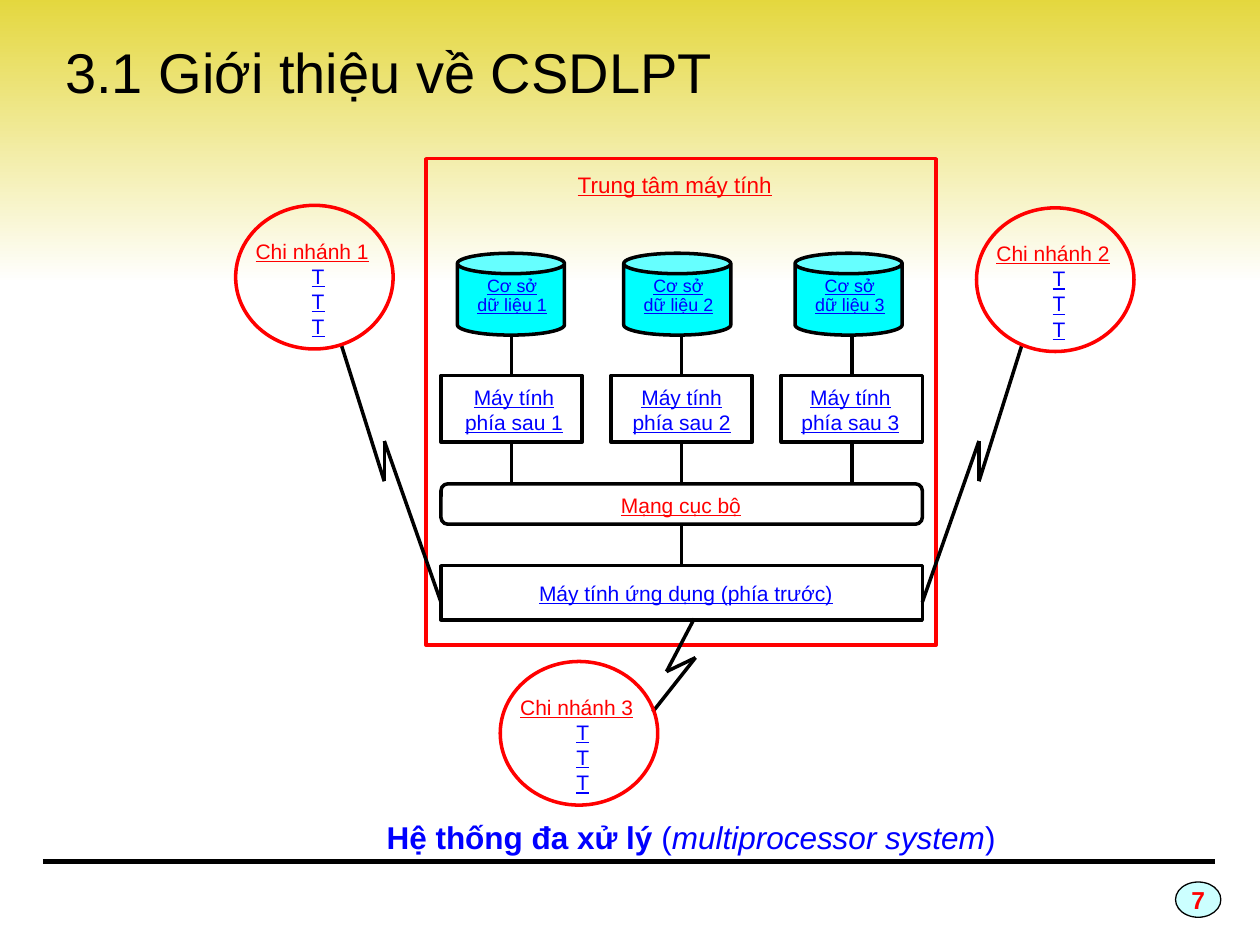
import pptx
import pptx.util
import pptx.dml.color
import pptx.enum.shapes
import pptx.enum.text
import pptx.oxml.ns
import lxml.etree

Inches = pptx.util.Inches
SHAPE = pptx.enum.shapes.MSO_SHAPE
ALIGN = pptx.enum.text.PP_ALIGN
BLACK, RED, BLUE, CYAN = "000000", "FF0000", "0000FF", "00FFFF"


def color(code):
    """Turn a hex string into a colour."""
    return pptx.dml.color.RGBColor.from_string(code)


def write(frame, lines, size=12, tint=BLUE, align=ALIGN.CENTER, wrap=True,
          under=False, space=None):
    """Fill a frame with lines; a line is text or a list of (text, format) runs."""
    frame.word_wrap = wrap
    for i, line in enumerate(lines):
        para = frame.paragraphs[0] if i == 0 else frame.add_paragraph()
        para.alignment = align
        if space:
            para.line_spacing = space
        for words, form in [(line, {})] if isinstance(line, str) else line:
            run = para.add_run()
            run.text = words
            font = run.font
            font.name, font.size = "Arial", pptx.util.Pt(size)
            font.color.rgb = color(form.get("tint", tint))
            font.bold = form.get("bold", False)
            font.italic = form.get("italic", False)
            font.underline = under
            if "align" in form:
                para.alignment = form["align"]


def label(slide, box, lines, **form):
    """Add a text box holding the lines."""
    item = slide.shapes.add_textbox(*map(Inches, box))
    write(item.text_frame, lines, **form)


def shape(slide, kind, box, line=BLACK, fill=None, width=2):
    """Add a preset shape with a plain outline."""
    item = slide.shapes.add_shape(kind, *map(Inches, box))
    item.shadow.inherit = False
    if fill:
        item.fill.solid()
        item.fill.fore_color.rgb = color(fill)
    else:
        item.fill.background()
    if line:
        item.line.color.rgb = color(line)
        item.line.width = pptx.util.Pt(width)
    else:
        item.line.fill.background()
    return item


def wire(slide, start, end, width=2):
    """Add a straight black connector without a shadow."""
    item = slide.shapes.add_connector(
        pptx.enum.shapes.MSO_CONNECTOR.STRAIGHT, *map(Inches, (*start, *end)))
    item.line.color.rgb = color(BLACK)
    item.line.width = pptx.util.Pt(width)
    lxml.etree.SubElement(item._element.spPr, pptx.oxml.ns.qn("a:effectLst"))
    return item


def zigzag(slide, points):
    """Join the points in turn with connectors."""
    for start, end in zip(points, points[1:]):
        wire(slide, start, end)


def backdrop(slide, width, page):
    """Draw the gradient band, the footer rule and the page number."""
    band = shape(slide, SHAPE.RECTANGLE, (0, -0.08, width, 2.33), line=None)
    band.fill.gradient()
    band.fill.gradient_angle = 270
    for stop, code, place in zip(band.fill.gradient_stops, ("E3D638", "FFFFFF"), (0, 1)):
        stop.color.rgb = color(code)
        stop.position = place
    wire(slide, (0.34, 6.84), (9.64, 6.84), width=3)
    badge = shape(slide, SHAPE.OVAL, (9.33, 7, 0.36, 0.28), fill="CCFFFF", width=0.75)
    write(badge.text_frame, [[(page, {"bold": True})]], size=14, tint=RED, wrap=False)


def branch(slide, box, num):
    """Draw a branch circle with its name and three terminals."""
    left, top, wide, high = box
    shape(slide, SHAPE.OVAL, box, line=RED)
    name = [(f"Chi nhánh {num}", {"tint": RED, "align": ALIGN.LEFT})]
    label(slide, (left + 0.06, top + 0.21, wide - 0.06, high - 0.19),
          [name, "T", "T", "T"], under=True)


def column(slide, box, num, store, shift, bus):
    """Draw a back-end computer with its database above and its wire to the bus."""
    left, top, wide, high = box
    mid = left + wide / 2
    shape(slide, SHAPE.CAN, (store, 2.01, 0.85, 0.65), fill=CYAN)
    label(slide, (store - 0.05, 2.15, 0.97, 0.45), ["Cơ sở", f"dữ liệu {num}"],
          size=10.2, under=True, space=0.9)
    node = shape(slide, SHAPE.RECTANGLE, box)
    label(slide, (left + shift, top + 0.02, 1.16, high), [f"Máy tính phía sau {num}"],
          under=True)
    wire(slide, (mid, 2.66), (mid, top)).end_connect(node, 0)
    drop = wire(slide, (mid, top + high), (mid, 3.84))
    drop.begin_connect(node, 2)
    if num == 2:
        drop.end_connect(bus, 0)


def center(slide, box):
    """Draw the computer centre: frame, columns, network and front end."""
    left, top, wide, high = box
    inner, span = left + 0.12, 3.82
    bus = shape(slide, SHAPE.ROUNDED_RECTANGLE, (inner, 3.84, span, 0.32))
    label(slide, (4.28, 3.86, 2.25, 0.32), ["Mạng cục bộ"], tint=RED, under=True)
    front = shape(slide, SHAPE.RECTANGLE, (inner, 4.49, span, 0.43))
    label(slide, (4.01, 4.56, 2.87, 0.43), ["Máy tính ứng dụng (phía trước)"], under=True)
    trunk = wire(slide, (inner + span / 2, 4.16), (inner + span / 2, 4.49))
    trunk.begin_connect(bus, 2)
    trunk.end_connect(front, 0)
    shape(slide, SHAPE.RECTANGLE, box, line=RED)
    label(slide, (4.14, top + 0.07, 2.43, 0.33), ["Trung tâm máy tính"],
          size=12.8, tint=RED, under=True, space=0.9)
    for i, (store, shift) in enumerate(((3.63, 0), (4.95, -0.02), (6.31, -0.03))):
        column(slide, (inner + 1.35 * i, 2.98, 1.12, 0.53), i + 1, store, shift, bus)


def main():
    """Build the slide and save it."""
    deck = pptx.Presentation()
    deck.slide_width, deck.slide_height = Inches(10), Inches(7.5)
    slide = deck.slides.add_slide(deck.slide_layouts[6])
    backdrop(slide, 10, "7")
    label(slide, (0.42, 0.25, 6.17, 0.64), ["3.1 Giới thiệu về CSDLPT"],
          size=32, tint=BLACK, align=ALIGN.LEFT)
    center(slide, (3.38, 1.26, 4.05, 3.86))
    bolt = [(2.71, 2.74), (3.05, 3.82), (3.05, 3.5), (3.5, 4.78)]
    zigzag(slide, bolt)
    zigzag(slide, [(10.82 - x, y) for x, y in bolt])
    zigzag(slide, [(5.51, 4.91), (5.29, 5.33), (5.52, 5.22), (5.18, 5.65)])
    for num, (left, top) in enumerate(((1.87, 1.63), (7.75, 1.65), (3.97, 5.25)), 1):
        branch(slide, (left, top, 1.25, 1.14), num)
    label(slide, (1.38, 6.44, 8.21, 0.46), [[
        ("Hệ thống đa xử lý ", {"bold": True}), ("(", {}),
        ("multiprocessor system", {"italic": True}), (")", {})]], size=18)
    deck.save("out.pptx")


if __name__ == "__main__":
    main()
